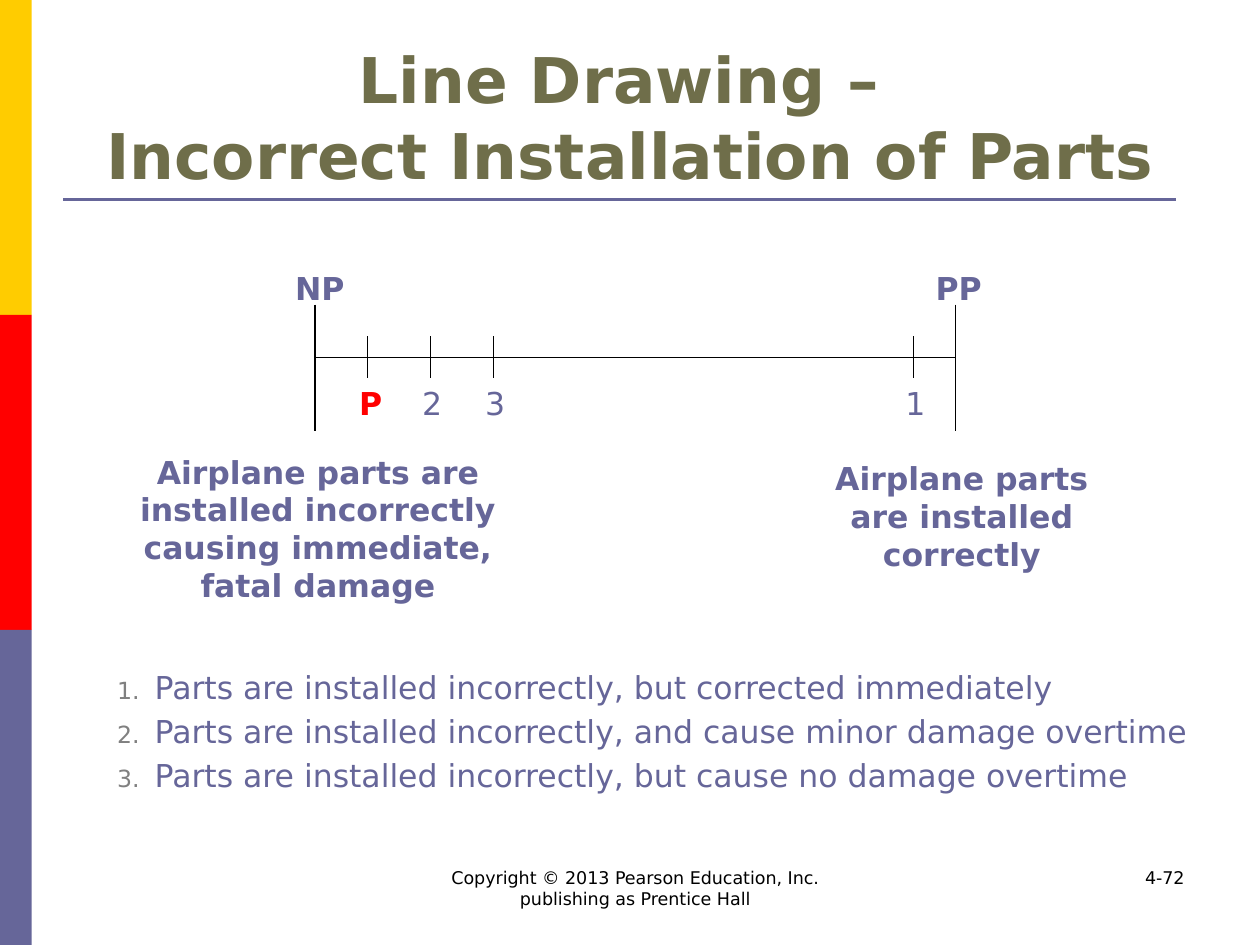
from lxml.etree import SubElement
from pptx import Presentation
from pptx.dml.color import RGBColor as Rgb
from pptx.enum.shapes import MSO_CONNECTOR as Link, MSO_SHAPE as Kind
from pptx.enum.text import MSO_ANCHOR as Anchor, PP_ALIGN as Align
from pptx.oxml.ns import qn
from pptx.util import Cm, Pt

HUES = {"gold": "FFCC00", "red": "FF0000", "blue": "666699",
        "olive": "6F6E4A", "gray": "808080", "black": "000000"}
FACE = "DejaVu Sans"

# All lengths are in centimetres.
WIDE, HIGH = 25.4, 19.05
BANDS = ["gold", "red", "blue"]
TITLE = "Line Drawing – \vIncorrect Installation of Parts"
AXIS = 7.2
ENDS = [("NP", 6.35), ("PP", 19.26)]
TICKS = [("P", 7.41), ("2", 8.68), ("3", 9.95), ("1", 18.42)]
NOTES = [
    ("Airplane parts are installed incorrectly causing immediate, fatal damage",
     (2.31, 9, 8.2, 3.33)),
    ("Airplane parts are installed correctly", (16.09, 9.13, 6.6, 2.5)),
]
CASES = [
    "Parts are installed incorrectly, but corrected immediately",
    "Parts are installed incorrectly, and cause minor damage overtime",
    "Parts are installed incorrectly, but cause no damage overtime",
]
FOOT = "Copyright © 2013 Pearson Education, Inc. publishing as Prentice Hall"
PAGE = "4-72"

BODY = {"size": Pt(18), "bold": False}
HEAD = {"size": Pt(18), "bold": True}
SMALL = {"size": Pt(10), "bold": False}
BIG = {"size": Pt(36), "bold": True}


def color(name):
    return Rgb.from_string(HUES[name])


def style(para, look, hue):
    for key, val in {"name": FACE, **look}.items():
        setattr(para.font, key, val)
    para.font.color.rgb = color(hue)


def number(para):
    """Give the paragraph a small gray number and a hanging indent."""
    props = para._p.get_or_add_pPr()
    props.set("marL", str(Cm(0.76)))
    props.set("indent", str(Cm(-0.76)))
    tint = SubElement(props, qn("a:buClr"))
    SubElement(tint, qn("a:srgbClr"), val=HUES["gray"])
    SubElement(props, qn("a:buSzPct"), val="75000")
    SubElement(props, qn("a:buFont"), typeface=FACE)
    SubElement(props, qn("a:buAutoNum"), type="arabicPeriod")


def write(slide, lines, spot, look, hue="blue", align=Align.LEFT,
          anchor=Anchor.TOP, listed=False):
    frame = slide.shapes.add_textbox(*map(Cm, spot)).text_frame
    frame.word_wrap = True
    frame.vertical_anchor = anchor
    for i, text in enumerate(lines):
        para = frame.add_paragraph() if i else frame.paragraphs[0]
        para.text = text
        para.alignment = align
        if listed:
            number(para)
        if i:
            para.space_before = Pt(3.6)
        style(para, look, hue)


def rule(slide, ends, hue="black", width=0.75):
    line = slide.shapes.add_connector(Link.STRAIGHT, *map(Cm, ends))
    line.line.color.rgb = color(hue)
    line.line.width = Pt(width)
    SubElement(line._element.spPr, qn("a:effectLst"))


def frame_page(slide):
    step = HIGH / len(BANDS)
    for i, hue in enumerate(BANDS):
        band = slide.shapes.add_shape(
            Kind.RECTANGLE, 0, Cm(i * step), Cm(0.64), Cm(step))
        band.shadow.inherit = False
        band.fill.solid()
        band.fill.fore_color.rgb = color(hue)
        band.line.fill.background()
    rule(slide, (1.27, 4.02, 23.7, 4.02), "blue", 1.5)
    write(slide, [TITLE], (1.27, 0.76, 22.86, 3.18), BIG, "olive",
          Align.CENTER, Anchor.MIDDLE)


def draw_scale(slide):
    rule(slide, (ENDS[0][1], AXIS, ENDS[1][1], AXIS))
    for name, x in ENDS:
        rule(slide, (x, AXIS - 1.06, x, AXIS + 1.48))
        write(slide, [name], (x - 0.65, 5.29, 1.7, 1.02), HEAD)
    for name, x in TICKS:
        main = name == "P"
        rule(slide, (x, AXIS - 0.42, x, AXIS + 0.42))
        write(slide, [name], (x - 0.42, 7.62, 1.27, 1.02),
              HEAD if main else BODY, "red" if main else "blue")


def main():
    deck = Presentation()
    deck.slide_width, deck.slide_height = Cm(WIDE), Cm(HIGH)
    slide = deck.slides.add_slide(deck.slide_layouts[6])
    frame_page(slide)
    draw_scale(slide)
    for text, spot in NOTES:
        write(slide, [text], spot, HEAD, align=Align.CENTER)
    write(slide, CASES, (2.11, 13.34, 22.2, 3.28), BODY, listed=True)
    write(slide, [PAGE], (18.21, 17.35, 5.92, 1.27), SMALL, "black",
          Align.RIGHT)
    write(slide, [FOOT], (8.46, 17.35, 8.69, 1.27), SMALL, "black",
          Align.CENTER)
    deck.save("out.pptx")


if __name__ == "__main__":
    main()
